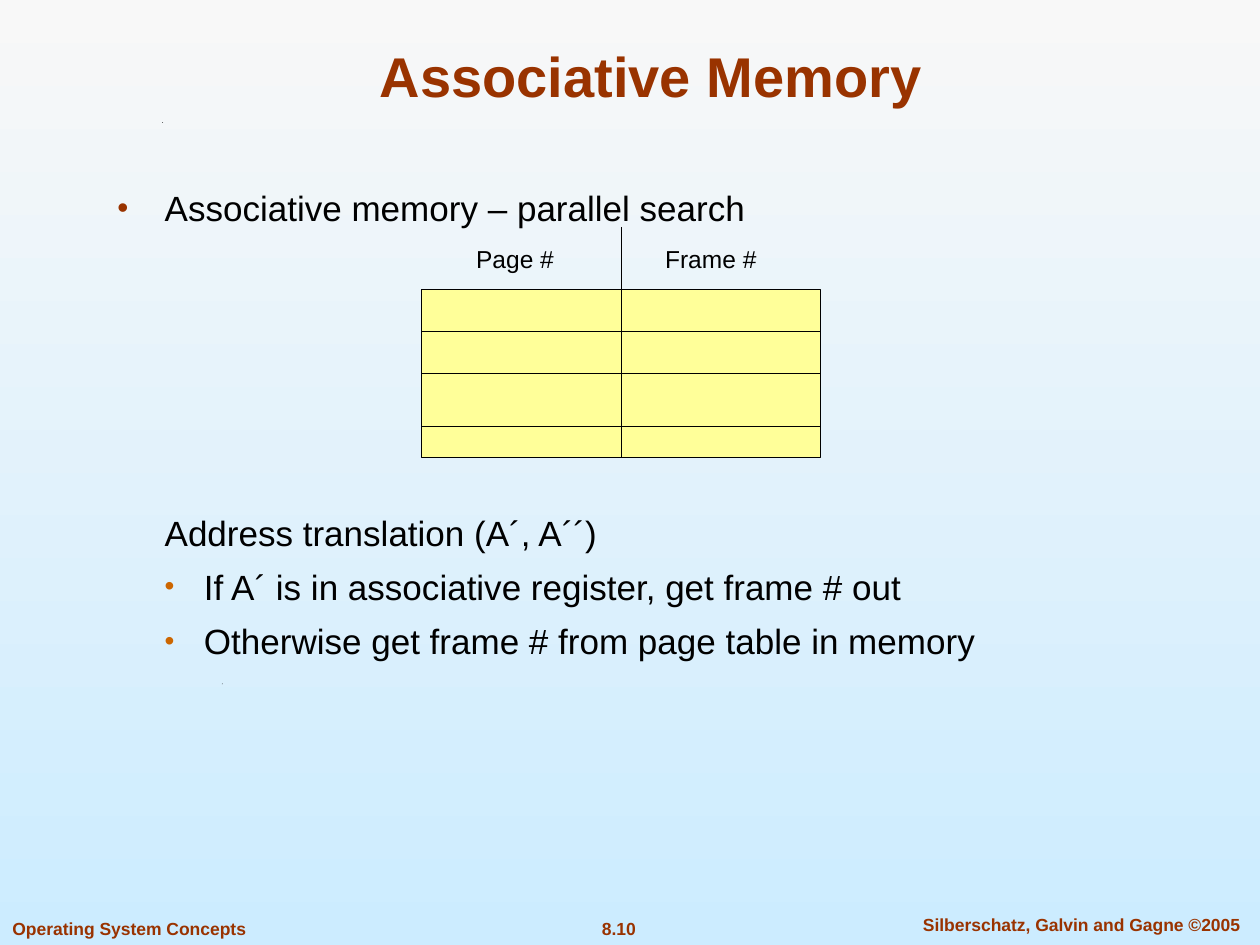
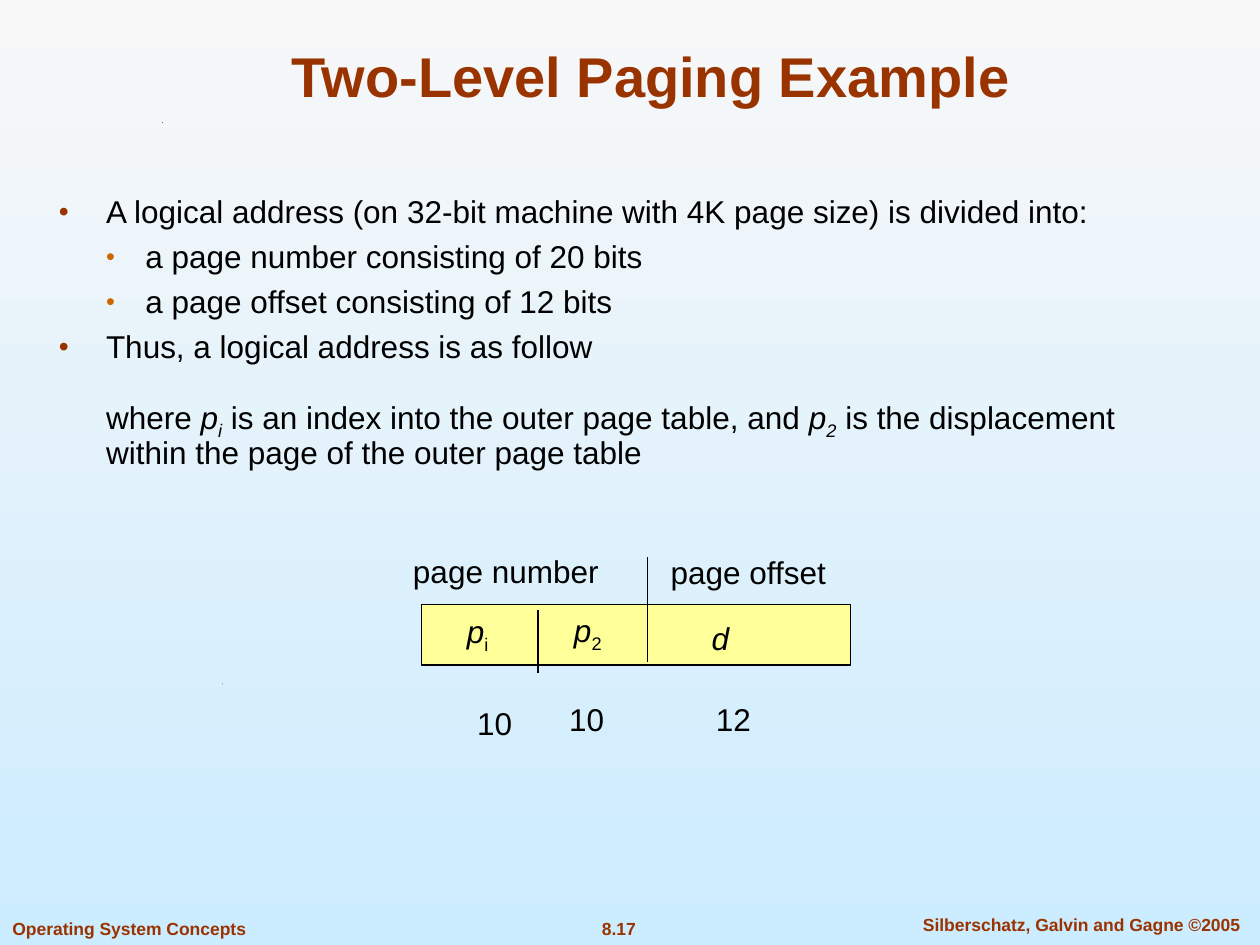
"""Build two slides on paging: shared frame, body text and small diagrams."""
from dataclasses import dataclass

from lxml import etree
from pptx import Presentation
from pptx.dml.color import RGBColor
from pptx.enum.shapes import MSO_CONNECTOR, MSO_SHAPE
from pptx.enum.text import MSO_ANCHOR, PP_ALIGN
from pptx.oxml.ns import qn
from pptx.slide import Slide
from pptx.util import Pt

LEFT, CENTER = PP_ALIGN.LEFT, PP_ALIGN.CENTER
TOP, MIDDLE, BOTTOM = MSO_ANCHOR.TOP, MSO_ANCHOR.MIDDLE, MSO_ANCHOR.BOTTOM
RECT, STRAIGHT = MSO_SHAPE.RECTANGLE, MSO_CONNECTOR.STRAIGHT

FONT = "Arial"
HEX = {
    "sky_top": "F8F8F8",
    "sky_low": "CCECFF",
    "rust": "993300",
    "amber": "CC6600",
    "cell": "FFFF99",
    "ink": "000000",
}


@dataclass(frozen=True)
class Run:
    """A piece of text with its slant and drop."""
    text: str
    slant: bool = False
    sub: bool = False


@dataclass(frozen=True)
class Level:
    """Indent and bullet of a body level."""
    margin: float
    hang: float = 0
    color: str = ""
    scale: int = 100


@dataclass(frozen=True)
class Para:
    """A paragraph with its level and the gap above it."""
    runs: tuple[Run, ...]
    level: Level | None = None
    gap: float = 0


@dataclass(frozen=True)
class Style:
    """The look of a text box."""
    size: float
    color: str = "ink"
    bold: bool = False
    align: PP_ALIGN = CENTER
    anchor: MSO_ANCHOR = MIDDLE
    wrap: bool = False
    pitch: float = 1.0


@dataclass(frozen=True)
class Label:
    """A short text and its box."""
    runs: tuple[Run, ...]
    left: float
    top: float
    width: float
    height: float = 28.8


MAIN = Level(27, 27, "rust", 90)
SUB = Level(49.5, 22.5, "amber", 80)
PLAIN = Level(27)

TITLE = Style(32, "rust", True, anchor=BOTTOM)
FOOT = Style(10, "rust", True, anchor=TOP)
FOOT_LEFT = Style(10, "rust", True, LEFT, TOP)
HEAD = Style(14, align=LEFT)
MARK = Style(18)


def rgb(name: str) -> RGBColor:
    """Look up a named colour."""
    return RGBColor.from_string(HEX[name])


def plain(text: str) -> tuple[Run, ...]:
    """Wrap a text as a single run."""
    return (Run(text),)


def indent(para, level: Level) -> None:
    """Set the indent and bullet of a paragraph."""
    props = para._p.get_or_add_pPr()
    props.set("marL", str(Pt(level.margin)))
    props.set("indent", str(-Pt(level.hang)))
    if not level.color:
        etree.SubElement(props, qn("a:buNone"))
        return
    tint = etree.SubElement(props, qn("a:buClr"))
    etree.SubElement(tint, qn("a:srgbClr"), val=HEX[level.color])
    etree.SubElement(props, qn("a:buSzPct"), val=str(level.scale * 1000))
    etree.SubElement(props, qn("a:buFont"), typeface=FONT)
    etree.SubElement(props, qn("a:buChar"), char="•")


def write(slide: Slide, paras: list[Para], style: Style,
          left: float, top: float, width: float, height: float) -> None:
    """Add a text box with styled paragraphs."""
    frame = slide.shapes.add_textbox(
        Pt(left), Pt(top), Pt(width), Pt(height)).text_frame
    frame.word_wrap = style.wrap
    frame.vertical_anchor = style.anchor
    for place, item in enumerate(paras):
        para = frame.add_paragraph() if place else frame.paragraphs[0]
        para.alignment = style.align
        para.line_spacing = style.pitch
        para.space_before = Pt(item.gap)
        if item.level:
            indent(para, item.level)
        font = para.font
        font.name, font.size, font.bold = FONT, Pt(style.size), style.bold
        font.color.rgb = rgb(style.color)
        for piece in item.runs:
            run = para.add_run()
            run.text = piece.text
            if piece.slant:
                run.font.italic = True
            if piece.sub:
                run._r.get_or_add_rPr().set("baseline", "-25000")


def put(slide: Slide, labels: list[Label], style: Style) -> None:
    """Add labels that share a style."""
    for item in labels:
        write(slide, [Para(item.runs)], style,
              item.left, item.top, item.width, item.height)


def box(slide: Slide, left: float, top: float,
        width: float, height: float) -> None:
    """Add a yellow box with a thin black edge."""
    shape = slide.shapes.add_shape(
        RECT, Pt(left), Pt(top), Pt(width), Pt(height))
    shape.shadow.inherit = False
    shape.fill.solid()
    shape.fill.fore_color.rgb = rgb("cell")
    shape.line.color.rgb = rgb("ink")
    shape.line.width = Pt(0.75)


def rule(slide: Slide, x1: float, y1: float, x2: float, y2: float) -> None:
    """Add a thin black line."""
    line = slide.shapes.add_connector(
        STRAIGHT, Pt(x1), Pt(y1), Pt(x2), Pt(y2))
    line.line.color.rgb = rgb("ink")
    line.line.width = Pt(0.75)
    etree.SubElement(line._element.spPr, qn("a:effectLst"))


def speck(slide: Slide, left: float, top: float) -> None:
    """Add a tiny black fleck."""
    pen = slide.shapes.build_freeform(Pt(left), Pt(top + 0.5))
    pen.add_line_segments([(Pt(left + 0.25), Pt(top)),
                           (Pt(left + 0.5), Pt(top + 0.5))])
    shape = pen.convert_to_shape()
    shape.shadow.inherit = False
    shape.fill.solid()
    shape.fill.fore_color.rgb = rgb("ink")
    shape.line.fill.background()


def start(deck, title: str, page: str) -> Slide:
    """Add a slide with its title and footers."""
    slide = deck.slides.add_slide(deck.slide_layouts[6])
    speck(slide, 92.7, 69.8)
    speck(slide, 126.8, 390.5)
    put(slide, [Label(plain(page), 336, 521, 35.3, 19),
                Label(plain("Silberschatz, Galvin and Gagne ©2005"),
                      511, 518.8, 214, 19)], FOOT)
    put(slide, [Label(plain("Operating System Concepts"),
                      0, 521, 147.6, 19)], FOOT_LEFT)
    put(slide, [Label(plain(title), 54, 17.5, 636, 48)], TITLE)
    return slide


def draw_cache(deck) -> None:
    """Draw the slide on parallel search."""
    slide = start(deck, "Associative Memory", "8.10")
    write(slide, [
        Para(plain("Associative memory – parallel search"), MAIN),
        Para(plain("Address translation (A´, A´´)"), PLAIN, 161.5),
        Para(plain("If A´ is in associative register, get frame # out"),
             SUB, 7),
        Para(plain("Otherwise get frame # from page table in memory"),
             SUB, 7),
    ], Style(20, align=LEFT, anchor=TOP, wrap=True), 60, 103, 579, 353)
    left, top, width, height = 241, 165.6, 228, 96
    box(slide, left, top, width, height)
    rule(slide, left + width / 2, 129.6, left + width / 2, top + height)
    for drop in (24, 48, 78):
        rule(slide, left, top + drop, left + width, top + drop)
    put(slide, [Label(plain("Page #"), 265, 135.8, 102, 24),
                Label(plain("Frame #"), 373, 135.8, 102, 24)], HEAD)


def draw_split(deck) -> None:
    """Draw the slide on the split address."""
    slide = start(deck, "Two-Level Paging Example", "8.17")
    index = (Run("p", True), Run("i", True, True))
    shift = (Run("p", True), Run("2", True, True))
    write(slide, [
        Para(plain("A logical address (on 32-bit machine with 4K page size) "
                   "is divided into:"), MAIN),
        Para(plain("a page number consisting of 20 bits"), SUB, 6.3),
        Para(plain("a page offset consisting of 12 bits"), SUB, 6.3),
        Para(plain("Thus, a logical address is as follow"), MAIN, 6.3),
        Para((Run("where "), *index,
              Run(" is an index into the outer page table, and "), *shift,
              Run(" is the displacement within the page of the outer "
                  "page table")), PLAIN, 19),
    ], Style(18, align=LEFT, anchor=TOP, wrap=True, pitch=0.9),
        26.5, 108.7, 649.5, 366)
    box(slide, 241, 345.4, 245, 34.6)
    rule(slide, 307.5, 348.5, 307.5, 384.5)
    rule(slide, 370, 318.5, 370, 378.5)
    put(slide, [
        Label(plain("page number"), 219, 311.8, 140),
        Label(plain("page offset"), 357.6, 312.5, 140),
        Label((Run("p", True), Run("i", sub=True)), 252.9, 347.8, 40),
        Label((Run("p", True), Run("2", sub=True)), 315.9, 347, 40),
        Label((Run("d", True),), 391.6, 350, 40),
        Label(plain("10"), 262.7, 398.5, 40),
        Label(plain("10"), 315.2, 396.7, 40),
        Label(plain("12"), 399.1, 396.7, 40),
    ], MARK)


def main() -> None:
    """Build and save the deck."""
    deck = Presentation()
    deck.slide_width, deck.slide_height = Pt(720), Pt(540)
    fill = deck.slide_master.background.fill
    fill.gradient()
    fill.gradient_angle = 270
    for stop, name in zip(fill.gradient_stops, ("sky_top", "sky_low")):
        stop.color.rgb = rgb(name)
    draw_cache(deck)
    draw_split(deck)
    deck.save("out.pptx")


main()
